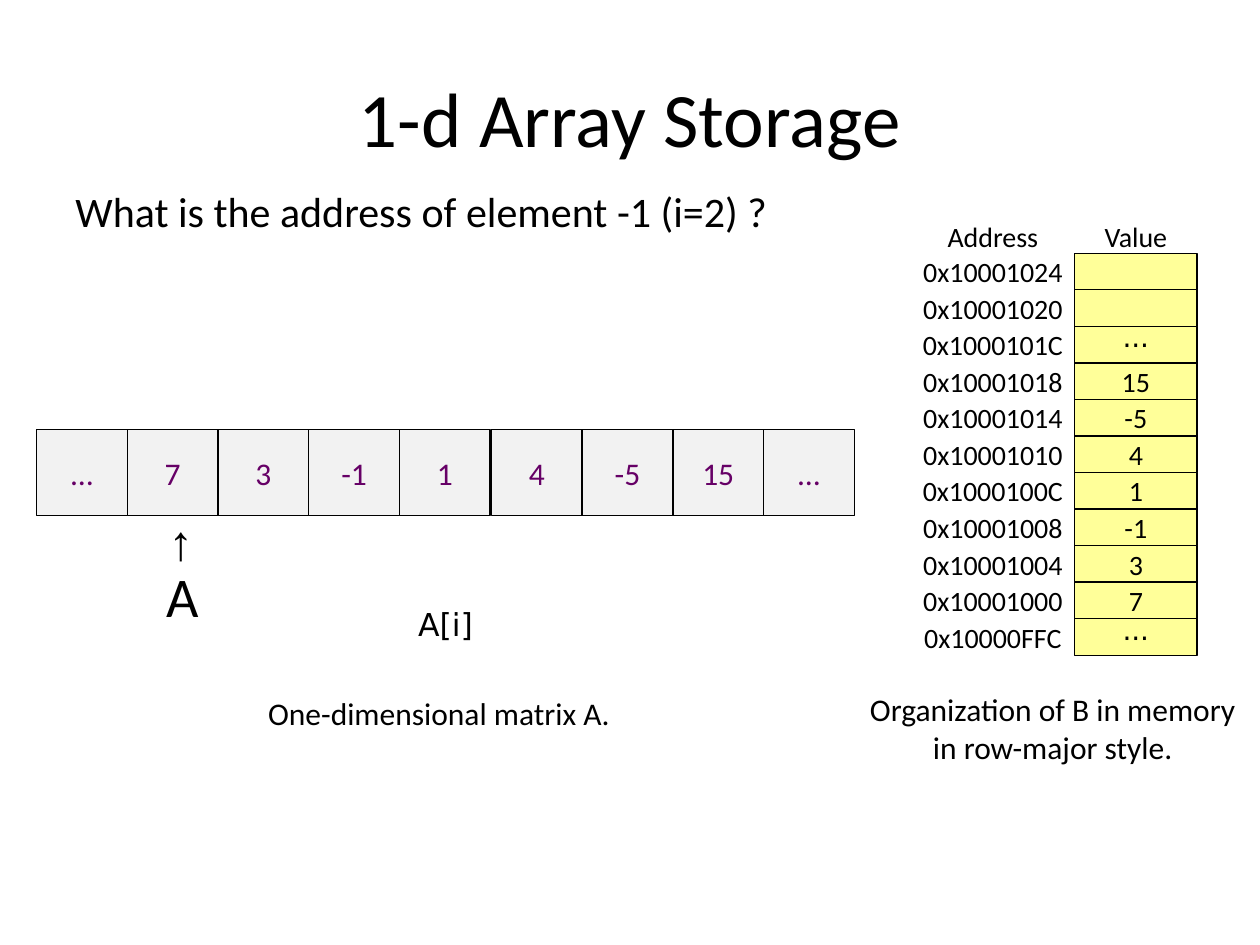
from dataclasses import dataclass
from typing import Optional

from pptx import Presentation
from pptx.dml.color import RGBColor
from pptx.enum.shapes import MSO_SHAPE as Shape
from pptx.enum.text import MSO_ANCHOR as Anchor, MSO_AUTO_SIZE as AutoSize, PP_ALIGN as Align
from pptx.util import Emu, Pt

EMU_PER_PX = 9144
BLACK = RGBColor(0x00, 0x00, 0x00)
PURPLE = RGBColor(0x66, 0x00, 0x66)
LIGHT_GREY = RGBColor(0xF2, 0xF2, 0xF2)
YELLOW = RGBColor(0xFF, 0xFF, 0x99)

ARRAY_LEFT, ARRAY_TOP, ARRAY_SPAN = 29, 341, 650
ELEMENT_WIDTH, ELEMENT_HEIGHT = 72, 68
ELEMENTS = ["…", "7", "3", "-1", "1", "4", "-5", "15", "…"]

MEMORY_LEFT, MEMORY_TOP = 853, 201
MEMORY_WIDTH, ROW_HEIGHT = 97, 29
ADDRESS_LEFT, ADDRESS_WIDTH, LABEL_HEIGHT = 722, 132, 37
LABEL_RISE = 4
MEMORY = [
    ("0x10001024", ""),
    ("0x10001020", ""),
    ("0x1000101C", "⋅⋅⋅"),
    ("0x10001018", "15"),
    ("0x10001014", "-5"),
    ("0x10001010", "4"),
    ("0x1000100C", "1"),
    ("0x10001008", "-1"),
    ("0x10001004", "3"),
    ("0x10001000", "7"),
    ("0x10000FFC", "⋅⋅⋅"),
]


@dataclass(frozen=True)
class Box:
    left: int
    top: int
    width: int
    height: int

    def emu(self) -> list[Emu]:
        return [Emu(side * EMU_PER_PX) for side in (self.left, self.top, self.width, self.height)]


@dataclass(frozen=True)
class Label:
    box: Box
    lines: tuple[str, ...]
    size: int
    align: Align = Align.LEFT
    anchor: Anchor = Anchor.TOP
    font: str = "Calibri"
    wrap: bool = False


@dataclass(frozen=True)
class Cell:
    box: Box
    value: str
    fill: RGBColor
    color: RGBColor
    size: int
    wrap: bool


def write(frame, lines: tuple[str, ...], size: int, color: RGBColor,
          align: Align, font: str = "Calibri") -> None:
    for index, line in enumerate(lines):
        paragraph = frame.add_paragraph() if index else frame.paragraphs[0]
        paragraph.alignment = align
        run = paragraph.add_run()
        run.text = line
        run.font.size = Pt(size)
        run.font.name = font
        run.font.color.rgb = color


def draw_label(slide, label: Label) -> None:
    frame = slide.shapes.add_textbox(*label.box.emu()).text_frame
    frame.word_wrap = label.wrap
    frame.auto_size = AutoSize.NONE if label.wrap else AutoSize.SHAPE_TO_FIT_TEXT
    frame.vertical_anchor = label.anchor
    write(frame, label.lines, label.size, BLACK, label.align, label.font)


def draw_cell(slide, cell: Cell) -> None:
    rectangle = slide.shapes.add_shape(Shape.RECTANGLE, *cell.box.emu())
    rectangle.shadow.inherit = False
    rectangle.fill.solid()
    rectangle.fill.fore_color.rgb = cell.fill
    rectangle.line.color.rgb = BLACK
    rectangle.line.width = Pt(0.75)
    frame = rectangle.text_frame
    frame.word_wrap = cell.wrap
    frame.vertical_anchor = Anchor.MIDDLE
    if cell.value:
        write(frame, (cell.value,), cell.size, cell.color, Align.CENTER)


def draw_array(slide) -> None:
    for index, value in enumerate(ELEMENTS):
        left = ARRAY_LEFT + index * ARRAY_SPAN // len(ELEMENTS)
        box = Box(left, ARRAY_TOP, ELEMENT_WIDTH, ELEMENT_HEIGHT)
        draw_cell(slide, Cell(box, value, LIGHT_GREY, PURPLE, 18, True))


def draw_memory_label(slide, text: str, left: int, top: int, width: int) -> None:
    box = Box(left, top, width, LABEL_HEIGHT)
    draw_label(slide, Label(box, (text,), 16, Align.CENTER, Anchor.MIDDLE))


def draw_memory(slide) -> None:
    draw_memory_label(slide, "Address", 737, 169, 102)
    draw_memory_label(slide, "Value", 863, 169, 77)
    for row, (address, value) in enumerate(MEMORY):
        top = MEMORY_TOP + row * ROW_HEIGHT
        draw_memory_label(slide, address, ADDRESS_LEFT, top - LABEL_RISE, ADDRESS_WIDTH)
        box = Box(MEMORY_LEFT, top, MEMORY_WIDTH, ROW_HEIGHT)
        draw_cell(slide, Cell(box, value, YELLOW, BLACK, 16, False))


LABELS = [
    Label(Box(50, 30, 900, 125), ("1-d Array Storage",), 44,
          Align.CENTER, Anchor.MIDDLE, wrap=True),
    Label(Box(50, 142, 575, 51), ("What is the address of element -1 (i=2) ?",), 24),
    Label(Box(124, 401, 40, 57), ("↑",), 28, font="Arial"),
    Label(Box(122, 441, 46, 64), ("A",), 32),
    Label(Box(322, 475, 67, 40), ("A[i]",), 18, font="DejaVu Sans"),
    Label(Box(203, 546, 294, 40), ("One-dimensional matrix A.",), 18),
    Label(Box(679, 543, 313, 71),
          ("Organization of B in memory", "in row-major style."), 18, Align.CENTER),
]


def main() -> None:
    deck = Presentation()
    deck.slide_width = Emu(1000 * EMU_PER_PX)
    deck.slide_height = Emu(750 * EMU_PER_PX)
    slide = deck.slides.add_slide(deck.slide_layouts[6])
    draw_array(slide)
    draw_memory(slide)
    for label in LABELS:
        draw_label(slide, label)
    deck.save("out.pptx")


if __name__ == "__main__":
    main()
